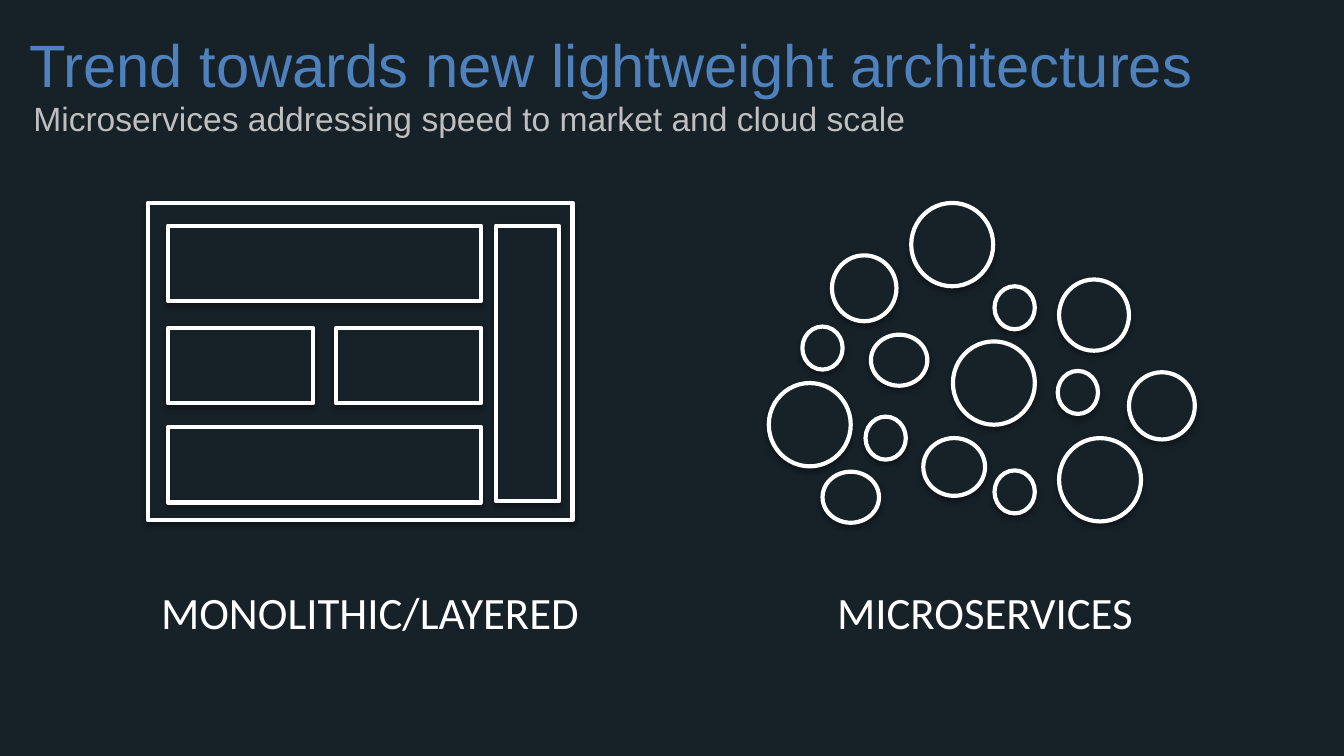
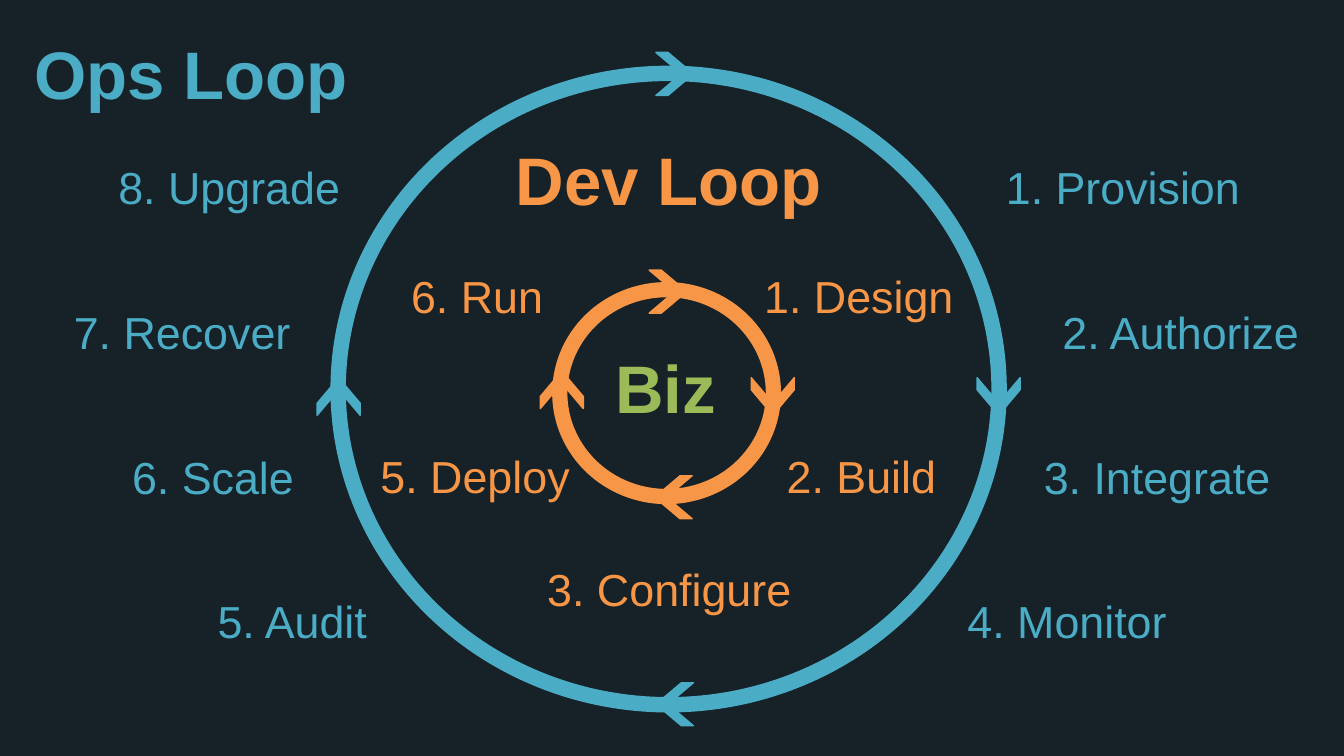
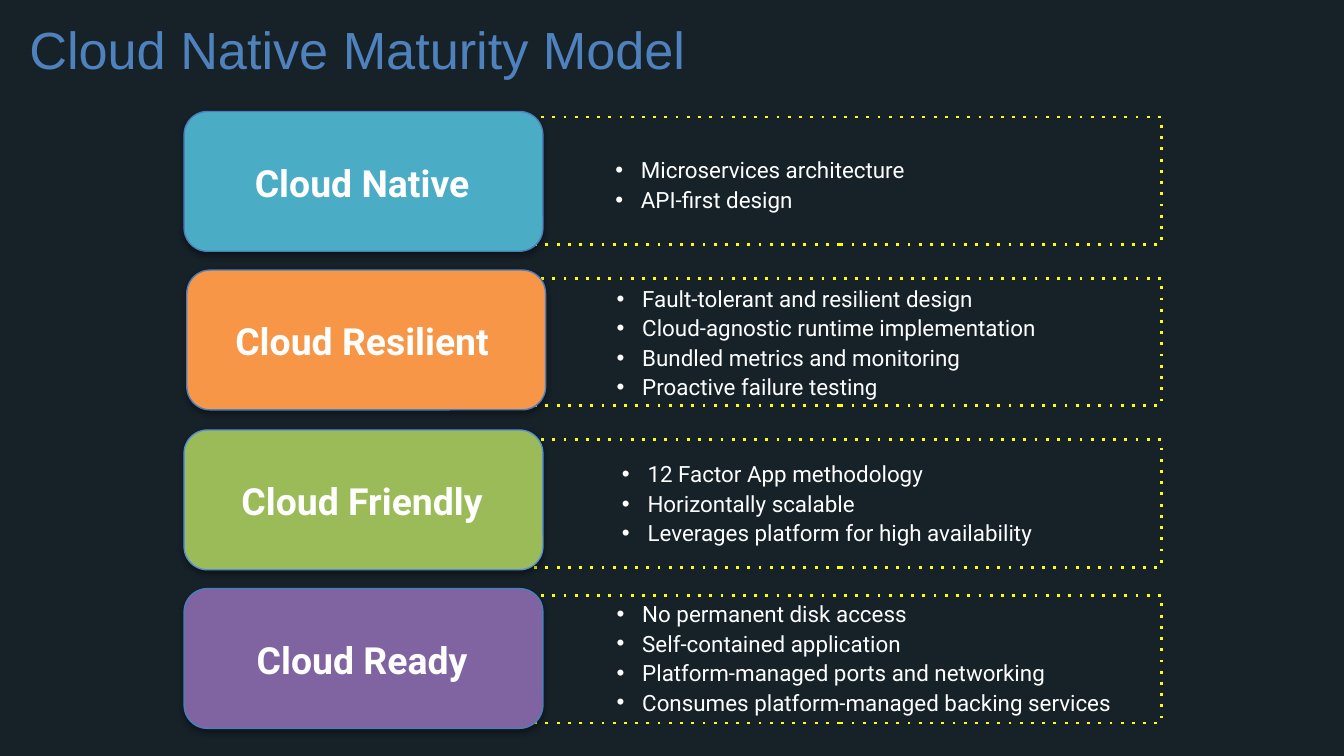
from lxml.etree import SubElement
from pptx import Presentation
from pptx.dml.color import RGBColor
from pptx.enum.shapes import MSO_SHAPE as SHAPE
from pptx.enum.text import MSO_ANCHOR as ANCHOR, PP_ALIGN as ALIGN
from pptx.oxml.ns import qn
from pptx.util import Inches, Pt

COLORS = {
    "night": "162128", "white": "FFFFFF", "gray": "BFBFBF", "blue": "4F81BD",
    "edge": "4B7EBC", "light_edge": "558ED5", "teal": "4BACC6",
    "orange": "F79646", "green": "9BBB59", "purple": "8064A2",
    "yellow": "FFFF00",
}


def write(page, place, lines, size, color, font="Arial", bold=False, align=None,
          anchor=ANCHOR.TOP, spacing=None, bullets=False):
    box = page.shapes.add_textbox(*map(Inches, place))
    frame = box.text_frame
    frame.word_wrap = True
    frame.vertical_anchor = anchor
    for number, line in enumerate(lines):
        para = frame.paragraphs[0] if number == 0 else frame.add_paragraph()
        if bullets:
            props = para._p.get_or_add_pPr()
            props.set("marL", str(Inches(0.19)))
            props.set("indent", str(Inches(-0.19)))
            SubElement(props, qn("a:buFont"), typeface="Arial")
            SubElement(props, qn("a:buChar"), char="•")
        para.alignment = align
        para.line_spacing = spacing
        span = para.add_run()
        span.text = line
        span.font.name = font
        span.font.size = Pt(size)
        span.font.bold = bold
        span.font.color.rgb = RGBColor.from_string(COLORS[color])


def draw(page, kind, place, fill, edge, weight, shadow=False):
    shape = page.shapes.add_shape(kind, *map(Inches, place))
    if fill:
        shape.fill.solid()
        shape.fill.fore_color.rgb = RGBColor.from_string(COLORS[fill])
    else:
        shape.fill.background()
    shape.line.color.rgb = RGBColor.from_string(COLORS[edge])
    shape.line.width = Pt(weight)
    shape.shadow.inherit = False
    if shadow:
        effects = shape._element.spPr.find(qn("a:effectLst"))
        outer = SubElement(effects, qn("a:outerShdw"), blurRad=str(Pt(3.1)),
                           dist=str(Pt(1.8)), dir="5400000", rotWithShape="0")
        black = SubElement(outer, qn("a:srgbClr"), val="000000")
        SubElement(black, qn("a:alpha"), val="35000")
    return shape


# Widescreen 16:9 deck with a dark background
deck = Presentation()
deck.slide_width = Inches(10)
deck.slide_height = deck.slide_width * 9 // 16
pages = []
for _ in range(3):
    page = deck.slides.add_slide(deck.slide_layouts[6])
    page.background.fill.solid()
    page.background.fill.fore_color.rgb = RGBColor.from_string(COLORS["night"])
    pages.append(page)
architectures, loops, maturity = pages

# Slide 1: monolith against microservices
write(architectures, (0.12, 0.16, 9.62, 0.52),
      ["Trend towards new lightweight architectures"], 32, "blue")
write(architectures, (0.15, 0.68, 9.62, 0.32),
      ["Microservices addressing speed to market and cloud scale"], 18, "gray")

monolith = [
    (1.1, 1.51, 3.16, 2.36),    # outer frame
    (1.25, 1.68, 2.33, 0.56),   # top layer
    (3.69, 1.68, 0.47, 2.05),   # side layer
    (1.25, 3.18, 2.33, 0.56),   # bottom layer
    (2.5, 2.44, 1.08, 0.56),
    (1.25, 2.44, 1.08, 0.56),
]
for place in monolith:
    draw(architectures, SHAPE.RECTANGLE, place, "night", "white", 2.25, True)

# Microservice circles, by size
circles = {
    (0.61, 0.62): [(6.78, 1.51), (7.09, 2.54), (5.72, 2.85), (7.88, 3.26)],
    (0.52, 0.53): [(7.88, 2.08)],
    (0.49, 0.5): [(8.4, 2.77)],
    (0.48, 0.49): [(6.19, 1.9)],
    (0.46, 0.43): [(6.87, 3.26)],
    (0.42, 0.38): [(6.48, 2.49), (6.12, 3.51)],
    (0.3, 0.32): [(7.4, 2.13), (7.87, 2.76), (7.4, 3.5), (6.44, 3.1),
                  (5.97, 2.43)],
}
for size, corners in circles.items():
    for corner in corners:
        draw(architectures, SHAPE.OVAL, corner + size, "night", "white", 2.25, True)

for caption, left, width in [("MONOLITHIC/LAYERED", 1.1, 3.4),
                             ("MICROSERVICES", 6.13, 2.44)]:
    write(architectures, (left, 4.3, width, 0.5), [caption], 24, "white", "Calibri")

# Slide 2: rings
for place, thickness, fill, edge in [
    ((4.14, 2.13, 1.64, 1.59), 0.032, "orange", "orange"),
    ((2.49, 0.52, 4.97, 4.75), 0.011, "blue", "teal"),
]:
    ring = draw(loops, SHAPE.DONUT, place, fill, edge, 4.5)
    ring.adjustments[0] = thickness

# Steps of both loops: text, left, top, width
steps = {
    "orange": [
        ("1. Design", 5.58, 1.88, 1.62), ("2. Build", 5.63, 3.22, 1.56),
        ("3. Configure", 3.93, 4.06, 2.1), ("5. Deploy", 2.71, 3.22, 1.65),
        ("6. Run", 2.9, 1.88, 1.3),
    ],
    "teal": [
        ("1. Provision", 7.26, 1.07, 2.19), ("2. Authorize", 7.78, 2.15, 2.01),
        ("3. Integrate", 7.58, 3.23, 2.06), ("4. Monitor", 6.96, 4.3, 1.96),
        ("5. Audit", 1.36, 4.3, 1.63), ("6. Scale", 0.85, 3.23, 1.47),
        ("7. Recover", 0.43, 2.15, 1.85), ("8. Upgrade", 0.73, 1.07, 1.95),
    ],
}
for color, labels in steps.items():
    for label, left, top, width in labels:
        write(loops, (left, top, width, 0.6), [label], 24, color,
              align=ALIGN.CENTER, anchor=ANCHOR.MIDDLE, spacing=1.1)

# Direction chevrons, clockwise from the top of each ring
chevrons = {
    "teal": [(4.88, 0.39), (7.29, 2.79), (4.88, 5.08), (2.38, 2.79)],
    "orange": [(4.83, 2.01), (5.61, 2.79), (4.87, 3.54), (4.04, 2.74)],
}
for color, corners in chevrons.items():
    for turn, corner in enumerate(corners):
        chevron = draw(loops, SHAPE.CHEVRON, corner + (0.28, 0.32), color, color, 0.75)
        chevron.adjustments[0] = 0.677
        chevron.rotation = 90 * turn

# Loop names
write(loops, (3.62, 1.03, 2.71, 0.54), ["Dev Loop"], 36, "orange", bold=True,
      align=ALIGN.CENTER, anchor=ANCHOR.MIDDLE, spacing=1.1)
write(loops, (4.48, 2.53, 0.96, 0.71), ["Biz"], 36, "green", bold=True)
write(loops, (0.16, 0.19, 3.46, 0.52), ["Ops Loop"], 36, "teal", bold=True)

# Slide 3: maturity levels
write(maturity, (0.12, 0.08, 9.62, 0.61), ["Cloud Native Maturity Model"], 28, "blue")

# Level, fill, edge, card corner, frame top, list place, list items
levels = [
    ("Cloud Native", "teal", "edge", (1.37, 0.83), 0.87, (4.48, 0.89, 4.15, 0.95),
     ["Microservices architecture", "API-first design"]),
    ("Cloud Resilient", "orange", "edge", (1.39, 2.01), 2.07, (4.49, 1.95, 4.23, 1.18),
     ["Fault-tolerant and resilient design",
      "Cloud-agnostic runtime implementation",
      "Bundled metrics and monitoring",
      "Proactive failure testing"]),
    ("Cloud Friendly", "green", "light_edge", (1.37, 3.2), 3.27, (4.53, 3.26, 4.23, 0.95),
     ["12 Factor App methodology",
      "Horizontally scalable",
      "Leverages platform for high availability"]),
    ("Cloud Ready", "purple", "edge", (1.37, 4.38), 4.43, (4.49, 4.41, 4.23, 0.95),
     ["No permanent disk access",
      "Self-contained application",
      "Platform-managed ports and networking",
      "Consumes platform-managed backing services"]),
]
for level, fill, edge, corner, frame_top, list_place, items in levels:
    dotted = draw(maturity, SHAPE.RECTANGLE, (3.86, frame_top, 4.78, 0.95),
                  None, "yellow", 1.5)
    SubElement(dotted._element.spPr.find(qn("a:ln")), qn("a:prstDash"), val="dot")
    draw(maturity, SHAPE.ROUNDED_RECTANGLE, corner + (2.67, 1.04), fill, edge, 0.75, True)
    write(maturity, (1.45, corner[1] + 0.09, 2.49, 0.87), [level], 20, "white",
          "Roboto", bold=True, align=ALIGN.CENTER, anchor=ANCHOR.MIDDLE)
    write(maturity, list_place, items, 12, "white", "Roboto",
          anchor=ANCHOR.MIDDLE, spacing=1.1, bullets=True)

deck.save("out.pptx")
